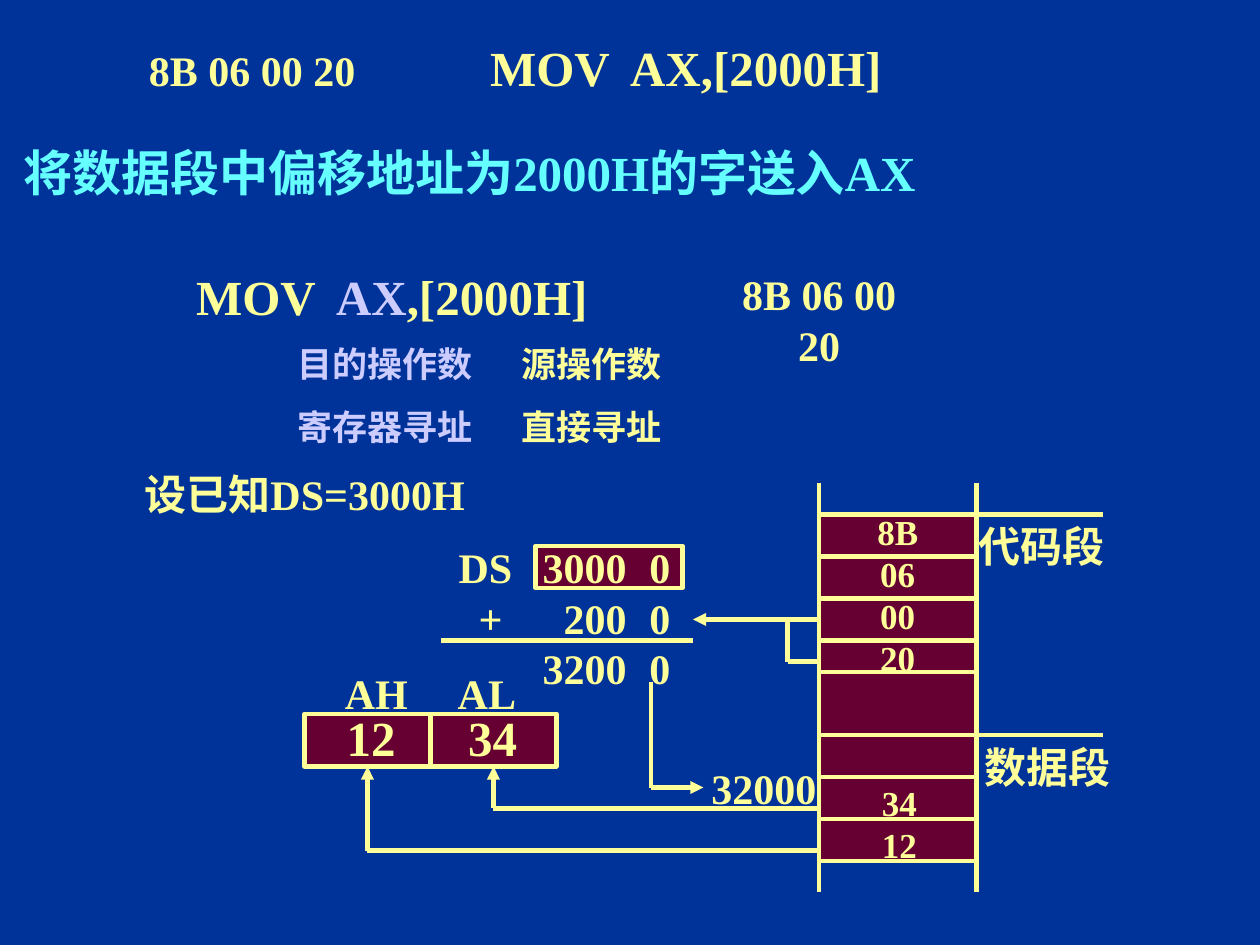
from lxml import etree
from pptx import Presentation
from pptx.dml.color import RGBColor
from pptx.enum.shapes import MSO_CONNECTOR, MSO_SHAPE
from pptx.enum.text import MSO_ANCHOR, MSO_AUTO_SIZE, PP_ALIGN
from pptx.oxml.ns import qn
from pptx.util import Pt

LEFT, MID = PP_ALIGN.LEFT, PP_ALIGN.CENTER
TOP, FIXED = MSO_ANCHOR.TOP, MSO_AUTO_SIZE.NONE
RECT, LINE = MSO_SHAPE.RECTANGLE, MSO_CONNECTOR.STRAIGHT

NAVY = RGBColor(0x00, 0x33, 0x99)
WINE = RGBColor(0x66, 0x00, 0x33)
CREAM = RGBColor(0xFF, 0xFF, 0x99)
LILAC = RGBColor(0xCC, 0xCC, 0xFF)
CYAN = RGBColor(0x66, 0xFF, 0xFF)
FONT = "Times New Roman"
STROKE = 2.5

# Content: a paragraph is a list of runs (text, size, colour)
TITLE = [[("将数据段中偏移地址为2000H的字送入AX", 28, CYAN)]]


def plain(size, *rows):
    return [[(row, size, CREAM)] for row in rows]


# x, y, width, paragraphs, align, tab stops, space between paragraphs
LABELS = [
    (78, 18, 462, [[("8B 06 00 20", 24, CREAM),
                    ("\tMOV\tAX,[2000H]", 28, CREAM)]],
     LEFT, [(195, "l"), (275, "l")], 0),
    (105, 148.5, 260, [[("MOV\t", 28, CREAM), ("AX", 28, LILAC),
                        (",[2000H]", 28, CREAM)]], LEFT, [(80, "l")], 0),
    (402, 150, 132, plain(24, "8B 06 00 20"), MID, [], 0),
    (163, 192, 240, [[("目的操作数", 20, LILAC), ("\t源操作数", 20, CREAM)],
                     [("寄存器寻址", 20, LILAC), ("\t直接寻址", 20, CREAM)]],
     LEFT, [(128, "l")], 12),
    (75.5, 264, 230, plain(24, "设已知DS=3000H"), LEFT, [], 0),
    (255, 306, 145, plain(24, "DS\t3000\t0", "\t+\t200\t0", "\t\t3200\t0"),
     LEFT, [(25, "r"), (96, "r"), (121, "r")], 0),
    (190, 378, 130, plain(24, "AH\tAL"), LEFT, [(64.5, "l")], 0),
    (191, 401, 125, plain(28, "12\t34"), LEFT, [(69.5, "l")], 0),
    (468, 288, 90, plain(20, "8B", "06", "00", "20"), MID, [], 0),
    (469, 443, 90, plain(20, "34", "12"), MID, [], 0),
    (550, 294, 90, plain(24, "代码段"), MID, [], 0),
    (553.5, 420, 90, plain(24, "数据段"), MID, [], 0),
    (396.5, 432, 80, plain(24, "32000"), MID, [], 0),
]

# Memory column: edges, cell borders and segment borders
COL_L, COL_R, COL_T, COL_B = 468, 558, 294, 492
CELLS = [318, 342, 366, 384, 444, 468]
BOXES = [
    (306, 312, 84, 24),                             # DS register
    (COL_L, COL_T, COL_R - COL_L, COL_B - COL_T),   # memory
    (174, 408, 144, 30),                            # AX register
]
PATHS = [
    [(252, 366), (396, 366)],               # sum rule
    [(450, 354), (450, 378), (468, 378)],   # high byte of the offset
    [(246, 408), (246, 438)],               # AH and AL divider
    [(COL_R, COL_T), (630, COL_T)],         # code segment
    [(COL_L, 420), (630, 420)],             # data segment
]
PATHS += [[(COL_L, y), (COL_R, y)] for y in CELLS]
PATHS += [[(x, y), (x, y + step)] for x in (COL_L, COL_R)
          for y, step in ((COL_T, -18), (COL_B, 18))]
ARROWS = [
    [(468, 354), (396, 354)],               # offset into the sum
    [(372, 390), (372, 450), (402, 450)],   # sum to the address
    [(468, 462), (282, 462), (282, 438)],   # low byte to AL
    [(468, 486), (210, 486), (210, 438)],   # high byte to AH
]


def write(shape, paras, align=LEFT, tabs=(), gap=0):
    frame = shape.text_frame
    frame.word_wrap = True
    frame.auto_size = FIXED
    frame.vertical_anchor = TOP
    for i, runs in enumerate(paras):
        para = frame.paragraphs[0] if i == 0 else frame.add_paragraph()
        if tabs:
            stops = etree.SubElement(para._p.get_or_add_pPr(), qn("a:tabLst"))
            for pos, side in tabs:
                etree.SubElement(stops, qn("a:tab"),
                                 pos=str(int(Pt(pos))), algn=side)
        para.alignment = align
        para.line_spacing = Pt(1.2 * max(size for _, size, _ in runs))
        para.space_before = Pt(gap if i else 0)
        for text, size, tint in runs:
            run = para.add_run()
            run.text = text
            run.font.name = FONT
            run.font.size = Pt(size)
            run.font.bold = True
            run.font.color.rgb = tint


def draw(shapes, points, arrow=False):
    for start, end in zip(points, points[1:]):
        line = shapes.add_connector(LINE, *map(Pt, start + end))
        line.line.color.rgb = CREAM
        line.line.width = Pt(STROKE)
        etree.SubElement(line._element.spPr, qn("a:effectLst"))
        if arrow and end == points[-1]:
            etree.SubElement(line.line._get_or_add_ln(), qn("a:tailEnd"),
                             type="triangle")


def main():
    deck = Presentation()
    deck.slide_width, deck.slide_height = Pt(720), Pt(540)
    slide = deck.slides.add_slide(deck.slide_layouts[5])
    slide.background.fill.solid()
    slide.background.fill.fore_color.rgb = NAVY
    shapes = slide.shapes

    # Title
    title = shapes.title
    title.left, title.top, title.width, title.height = map(
        Pt, (6.5, 78, 678, 41))
    write(title, TITLE)

    # Registers and memory
    for box in BOXES:
        rect = shapes.add_shape(RECT, *map(Pt, box))
        rect.shadow.inherit = False
        rect.fill.solid()
        rect.fill.fore_color.rgb = WINE
        rect.line.color.rgb = CREAM
        rect.line.width = Pt(STROKE)

    # Rules and arrows
    for path in PATHS:
        draw(shapes, path)
    for path in ARROWS:
        draw(shapes, path, arrow=True)

    # Labels
    for x, y, width, paras, align, tabs, gap in LABELS:
        high = 7.2 + gap * (len(paras) - 1) + sum(
            1.2 * max(run[1] for run in runs) for runs in paras)
        box = shapes.add_textbox(Pt(x), Pt(y), Pt(width), Pt(high))
        write(box, paras, align, tabs, gap)

    deck.save("out.pptx")


if __name__ == "__main__":
    main()
